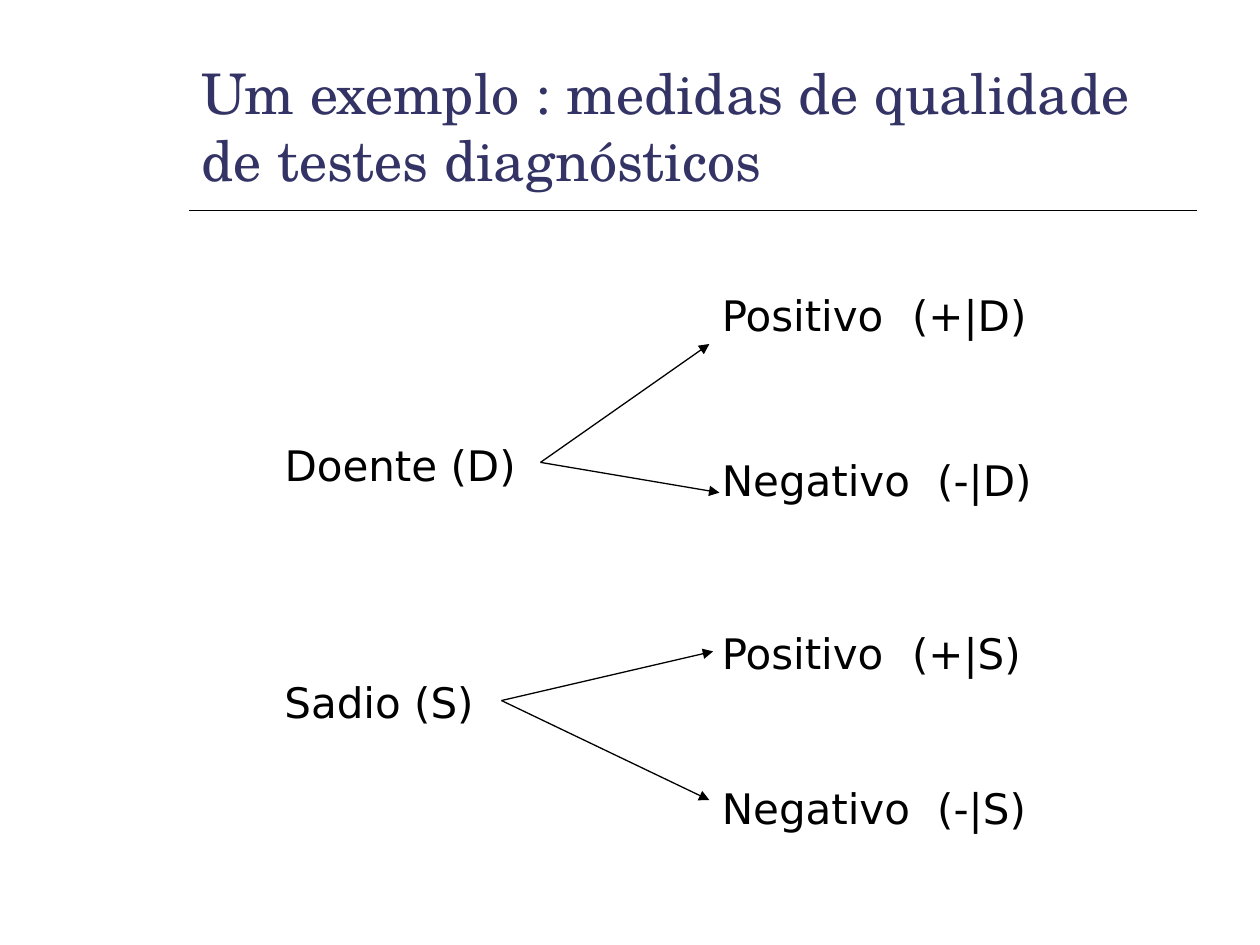
from dataclasses import dataclass

from pptx import Presentation
from pptx.dml.color import RGBColor
from pptx.enum.shapes import MSO_CONNECTOR as Connector
from pptx.enum.text import MSO_ANCHOR as Anchor, MSO_AUTO_SIZE as AutoSize
from pptx.oxml.ns import qn
from pptx.util import Inches, Pt
from lxml.etree import SubElement


@dataclass(frozen=True)
class Theme:
    title_font: str = "TeX Gyre Schola"
    label_font: str = "DejaVu Sans"
    title_color: RGBColor = RGBColor(0x33, 0x33, 0x66)
    ink: RGBColor = RGBColor(0, 0, 0)
    title_size: float = 32
    label_size: float = 24
    rule_width: float = 1
    arrow_width: float = 0.75


THEME = Theme()
STATE_LEFT, RESULT_LEFT = 2.16, 5.63
RESULT_WIDTH, LABEL_HEIGHT = 2.99, 0.5
SYMBOL_TABS = {"Positivo": 1.51, "Negativo": 1.71}

BRANCHES = [
    ("Doente (D)", 3.44, 2.52, (4.29, 3.67), [
        ("Positivo", "(+|D)", 2.25, (5.63, 2.73)),
        ("Negativo", "(-|D)", 3.56, (5.71, 3.91)),
    ]),
    ("Sadio (S)", 5.32, 2.43, (3.98, 5.56), [
        ("Positivo", "(+|S)", 4.93, (5.66, 5.17)),
        ("Negativo", "(-|S)", 6.16, (5.63, 6.35)),
    ]),
]


def add_text(page, text, area, font, size, color, tab=None):
    box = page.shapes.add_textbox(*map(Inches, area))
    frame = box.text_frame
    frame.word_wrap = True
    para = frame.paragraphs[0]
    if tab:
        stops = SubElement(para._p.get_or_add_pPr(), qn("a:tabLst"))
        SubElement(stops, qn("a:tab"), pos=str(Inches(tab)), algn="l")
    span = para.add_run()
    span.text = text
    span.font.name = font
    span.font.size = Pt(size)
    span.font.color.rgb = color
    return frame


def add_title(page, text):
    frame = add_text(page, text, (1.5, 0.33, 8, 1.25),
                     THEME.title_font, THEME.title_size, THEME.title_color)
    frame.vertical_anchor = Anchor.BOTTOM


def add_label(page, text, left, top, width, tab=None):
    frame = add_text(page, text, (left, top, width, LABEL_HEIGHT),
                     THEME.label_font, THEME.label_size, THEME.ink, tab)
    frame.auto_size = AutoSize.SHAPE_TO_FIT_TEXT


def add_line(page, start, end, width):
    line = page.shapes.add_connector(
        Connector.STRAIGHT, *map(Inches, (*start, *end)))
    line.line.color.rgb = THEME.ink
    line.line.width = Pt(width)
    SubElement(line._element.spPr, qn("a:effectLst"))
    return line


def add_arrow(page, start, end):
    arrow = add_line(page, start, end, THEME.arrow_width)
    SubElement(arrow.line._get_or_add_ln(), qn("a:tailEnd"), type="triangle")


def add_branch(page, state, top, width, fork, results):
    add_label(page, state, STATE_LEFT, top, width)
    for result, symbol, result_top, tip in results:
        add_label(page, f"{result}\t{symbol}", RESULT_LEFT, result_top,
                  RESULT_WIDTH, SYMBOL_TABS[result])
        add_arrow(page, fork, tip)


def main():
    deck = Presentation()
    deck.slide_width, deck.slide_height = Inches(10), Inches(7.5)
    page = deck.slides.add_slide(deck.slide_layouts[6])
    add_line(page, (1.5, 1.67), (9.5, 1.67), THEME.rule_width)
    add_title(page, "Um exemplo : medidas de qualidade de testes diagnósticos")
    for branch in BRANCHES:
        add_branch(page, *branch)
    deck.save("out.pptx")


if __name__ == "__main__":
    main()
